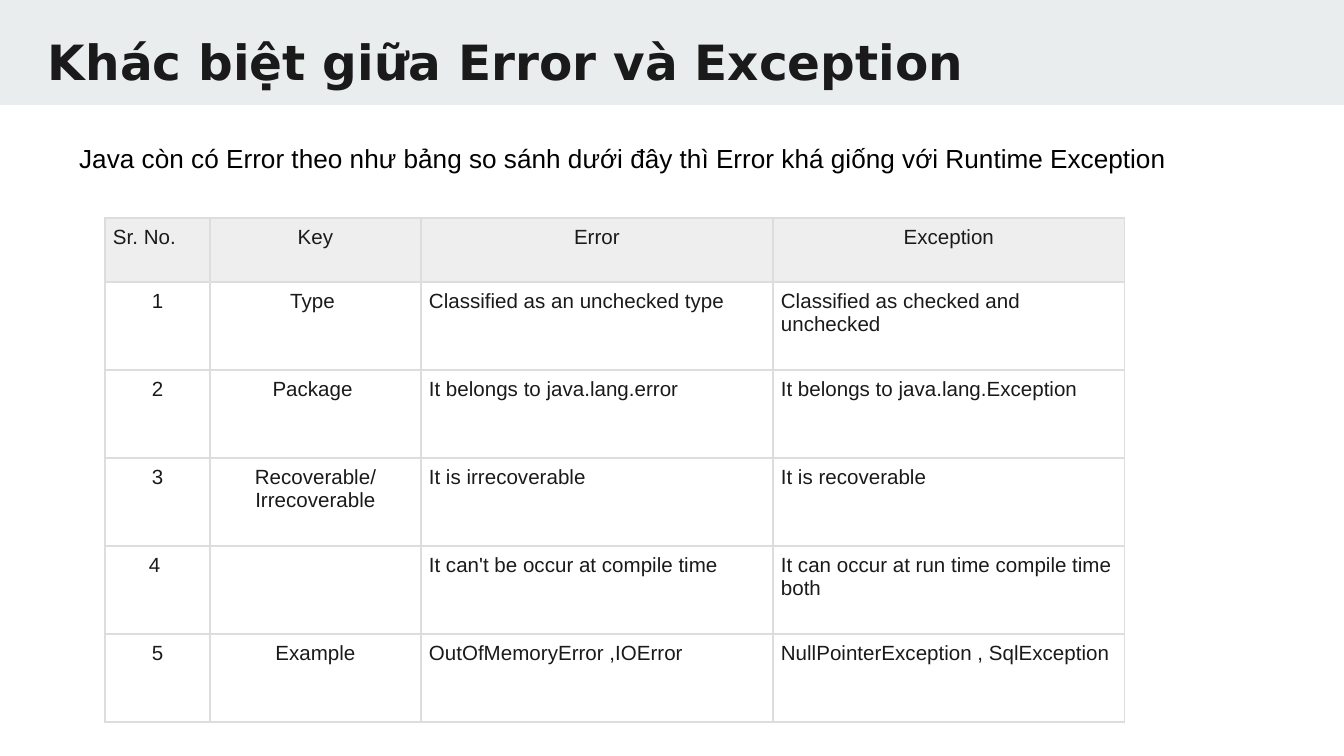
"""Build a slide comparing Error and Exception in Java."""
from lxml import etree
from pptx import Presentation
from pptx.dml.color import RGBColor
from pptx.enum.shapes import MSO_SHAPE
from pptx.enum.text import MSO_ANCHOR, MSO_AUTO_SIZE, PP_ALIGN
from pptx.oxml.ns import qn
from pptx.util import Pt

LEFT, CENTER = PP_ALIGN.LEFT, PP_ALIGN.CENTER
TOP, RECTANGLE = MSO_ANCHOR.TOP, MSO_SHAPE.RECTANGLE
NO_FIT, GROW = MSO_AUTO_SIZE.NONE, MSO_AUTO_SIZE.SHAPE_TO_FIT_TEXT

TITLE = "Khác biệt giữa Error và Exception"
INTRO = "Java còn có Error theo như bảng so sánh dưới đây thì Error khá giống với Runtime Exception"
HEADER = ("Sr. No.", "Key", "Error", "Exception")
ROWS = [
    ("1", "Type\u00a0", "Classified as an unchecked type\u00a0",
     "Classified as checked and unchecked\u00a0"),
    ("2", "Package\u00a0", "It belongs to java.lang.error\u00a0",
     "It belongs to java.lang.Exception\u00a0"),
    ("3", "Recoverable/ Irrecoverable", "It is irrecoverable", "It is recoverable"),
    ("4\u00a0", "", "It can't be occur at compile time\u00a0",
     "It can occur at run time compile time both\u00a0"),
    ("5", "Example", "OutOfMemoryError ,IOError\u00a0",
     "NullPointerException , SqlException\u00a0"),
]
HEADER_ALIGN = (LEFT, CENTER, CENTER, CENTER)
BODY_ALIGN = (CENTER, CENTER, LEFT, LEFT)

THEME = {
    "band": "E9EDEE", "ink": "1A1A1A", "black": "000000", "white": "FFFFFF",
    "header": "EEEEEE", "border": "DDDDDD", "border_width": 0.75,
    "title_font": "DejaVu Sans", "body_font": "Arial",
    "title_size": 26, "intro_size": 14, "cell_size": 11,
}
SCALE = 914400 / 134.4
PAGE_SIZE = (1344, 756)
BAND = (0, 0, 1344, 105)
TITLE_BOX = (35, 16, 1279, 79)
INTRO_BOX = (66, 136, 1119, 46)
TABLE_ORIGIN = (105, 218)
COLUMNS = (105, 211, 352, 352)
HEADER_HEIGHT, ROW_HEIGHT = 64, 88
CELL_MARGIN = 8


def emu(pixels):
    """Convert pixels to EMU."""
    return round(pixels * SCALE)


def color(name):
    """Return a theme colour."""
    return RGBColor.from_string(THEME[name])


def write(frame, text, font="body_font", size="cell_size", ink="ink", bold=False, align=LEFT):
    """Put one formatted paragraph into a text frame."""
    para = frame.paragraphs[0]
    para.alignment = align
    para.font.size = Pt(THEME[size])
    if text:
        span = para.add_run()
        span.text = text
        span.font.name = THEME[font]
        span.font.size = Pt(THEME[size])
        span.font.bold = bold
        span.font.color.rgb = color(ink)


def add_borders(cell):
    """Draw the four cell edges."""
    properties = cell._tc.get_or_add_tcPr()
    for edge in ("a:lnL", "a:lnR", "a:lnT", "a:lnB"):
        line = etree.SubElement(properties, qn(edge), w=str(Pt(THEME["border_width"])))
        fill = etree.SubElement(line, qn("a:solidFill"))
        etree.SubElement(fill, qn("a:srgbClr"), val=THEME["border"])


def add_table(page):
    """Add the comparison table."""
    height = HEADER_HEIGHT + ROW_HEIGHT * len(ROWS)
    box = map(emu, (*TABLE_ORIGIN, sum(COLUMNS), height))
    table = page.shapes.add_table(len(ROWS) + 1, len(COLUMNS), *box).table
    for column, width in zip(table.columns, COLUMNS):
        column.width = emu(width)
    for index, texts in enumerate([HEADER, *ROWS]):
        table.rows[index].height = emu(ROW_HEIGHT if index else HEADER_HEIGHT)
        aligns = BODY_ALIGN if index else HEADER_ALIGN
        for cell, text, align in zip(table.rows[index].cells, texts, aligns):
            cell.margin_left = cell.margin_right = emu(CELL_MARGIN)
            cell.margin_top = cell.margin_bottom = emu(CELL_MARGIN)
            add_borders(cell)
            cell.fill.solid()
            cell.fill.fore_color.rgb = color("white" if index else "header")
            write(cell.text_frame, text, align=align)


deck = Presentation()
deck.slide_width, deck.slide_height = map(emu, PAGE_SIZE)
page = deck.slides.add_slide(deck.slide_layouts[5])

band = page.shapes.add_shape(RECTANGLE, *map(emu, BAND))
band.shadow.inherit = False
band.fill.solid()
band.fill.fore_color.rgb = color("band")
band.line.fill.background()

title = page.shapes.title
title.left, title.top, title.width, title.height = map(emu, TITLE_BOX)
page.shapes._spTree.append(title._element)
frame = title.text_frame
frame.margin_left = frame.margin_right = frame.margin_bottom = emu(13)
frame.margin_top = emu(16)
frame.vertical_anchor = TOP
frame.auto_size = NO_FIT
write(frame, TITLE, font="title_font", size="title_size", bold=True)

add_table(page)

intro = page.shapes.add_textbox(*map(emu, INTRO_BOX))
intro.text_frame.word_wrap = False
intro.text_frame.auto_size = GROW
write(intro.text_frame, INTRO, size="intro_size", ink="black")

deck.save("out.pptx")
